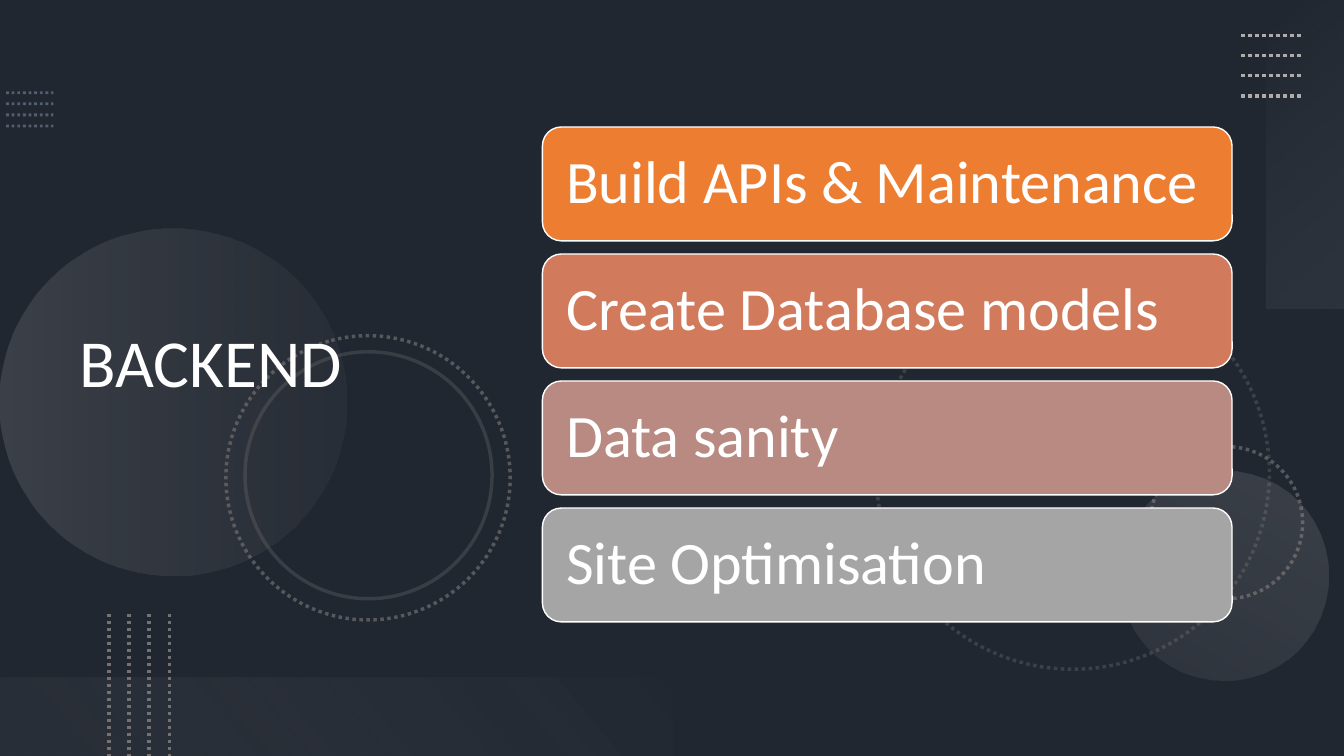
from dataclasses import dataclass
from typing import Optional

import pptx
import pptx.util
import pptx.dml.color
import pptx.enum.dml
import pptx.enum.shapes
import pptx.enum.text
import pptx.oxml
import pptx.oxml.ns

Inches = pptx.util.Inches
Pt = pptx.util.Pt
Shapes = pptx.enum.shapes.MSO_SHAPE
Dash = pptx.enum.dml.MSO_LINE
qn = pptx.oxml.ns.qn


@dataclass(frozen=True)
class Theme:
    font: str = "Calibri"
    title_size: float = 48
    card_size: float = 43
    background: str = "44546A"
    shade: str = "000000"
    white: str = "FFFFFF"
    slate: str = "8497B0"
    silver: str = "AFABAB"
    grey: str = "767171"
    mist: str = "F5F5F5"
    pale: str = "F1F0F0"


THEME = Theme()


@dataclass(frozen=True)
class Stroke:
    color: str
    width: float = 2.5
    dotted: bool = True
    alpha: int = 100


@dataclass(frozen=True)
class Stop:
    position: float
    color: str
    alpha: int


@dataclass(frozen=True)
class Decor:
    left: float
    top: float
    width: float
    height: float
    rotation: float = 0
    kind: int = Shapes.OVAL
    stroke: Optional[Stroke] = None
    stops: tuple[Stop, ...] = ()
    angle: float = 90


@dataclass(frozen=True)
class DotRows:
    """Parallel dotted lines, each offset from the one before by a step."""
    left: float
    top: float
    length: float
    step: float
    stroke: Stroke
    vertical: bool = False
    count: int = 4


@dataclass(frozen=True)
class Card:
    text: str
    color: str


def rgb(value: str):
    return pptx.dml.color.RGBColor.from_string(value)


def set_alpha(element, percent: int) -> None:
    if percent < 100:
        color = next(element.iter(qn("a:srgbClr")))
        pptx.oxml.ns  # namespace map used by qn
        color.makeelement(qn("a:alpha"))
        alpha = color.makeelement(qn("a:alpha"), {"val": str(percent * 1000)})
        color.append(alpha)


def set_stroke(line, stroke: Stroke) -> None:
    line.color.rgb = rgb(stroke.color)
    line.width = Pt(stroke.width)
    if stroke.dotted:
        line.dash_style = Dash.ROUND_DOT
    set_alpha(line.fill._xPr, stroke.alpha)


def add_shape(s, kind: int, left: float, top: float, width: float, height: float,
              color: Optional[str] = None, stroke: Optional[Stroke] = None):
    sp = s.shapes.add_shape(kind, Inches(left), Inches(top), Inches(width), Inches(height))
    sp.shadow.inherit = False
    if color:
        sp.fill.solid()
        sp.fill.fore_color.rgb = rgb(color)
    else:
        sp.fill.background()
    if stroke:
        set_stroke(sp.line, stroke)
    else:
        sp.line.fill.background()
    return sp


def add_decor(s, d: Decor) -> None:
    sp = add_shape(s, d.kind, d.left, d.top, d.width, d.height, stroke=d.stroke)
    sp.rotation = d.rotation
    if d.stops:
        sp.fill.gradient()
        sp.fill.gradient_angle = 360 - d.angle
        for target, stop in zip(sp.fill.gradient_stops, d.stops):
            target.position = stop.position
            target.color.rgb = rgb(stop.color)
        gradient = sp._element.spPr.find(qn("a:gradFill"))
        for element, stop in zip(gradient.iter(qn("a:gs")), d.stops):
            color = element.find(qn("a:srgbClr"))
            color.append(color.makeelement(qn("a:alpha"), {"val": str(stop.alpha * 1000)}))


def add_dot_rows(s, rows: DotRows) -> None:
    for i in range(rows.count):
        x = rows.left + (i * rows.step if rows.vertical else 0)
        y = rows.top + (0 if rows.vertical else i * rows.step)
        end_x, end_y = (x, y + rows.length) if rows.vertical else (x + rows.length, y)
        line = s.shapes.add_connector(pptx.enum.shapes.MSO_CONNECTOR.STRAIGHT,
                                      Inches(x), Inches(y), Inches(end_x), Inches(end_y))
        set_stroke(line.line, rows.stroke)
        properties = line._element.spPr
        properties.append(properties.makeelement(qn("a:effectLst")))


def write_text(sp, text: str, *, size: float, color: str = THEME.white,
               inset: Optional[float] = None) -> None:
    tf = sp.text_frame
    tf.word_wrap = True
    tf.vertical_anchor = pptx.enum.text.MSO_ANCHOR.MIDDLE
    if inset is not None:
        tf.margin_left = tf.margin_right = tf.margin_top = tf.margin_bottom = Inches(inset)
    p = tf.paragraphs[0]
    p.alignment = pptx.enum.text.PP_ALIGN.LEFT
    p.line_spacing = 0.9
    r = p.add_run()
    r.text = text
    r.font.name = THEME.font
    r.font.size = Pt(size)
    r.font.color.rgb = rgb(color)


CIRCLES = (
    Decor(8.69, 2.74, 3.9, 3.9, 75, stroke=Stroke(THEME.grey, alpha=35)),
    Decor(11.41, 4.43, 1.51, 1.51, 270, stroke=Stroke(THEME.grey, alpha=65)),
    Decor(0, 2.27, 3.44, 3.44, 270,
          stops=(Stop(0, THEME.silver, 20), Stop(1, THEME.grey, 10))),
    Decor(11.1, 4.67, 2.08, 2.08, 210,
          stops=(Stop(0, THEME.silver, 10), Stop(1, THEME.silver, 20))),
    Decor(2.24, 3.33, 2.82, 2.82, 75, stroke=Stroke(THEME.grey, alpha=65)),
    Decor(2.43, 3.49, 2.45, 2.45, 75, stroke=Stroke(THEME.grey, dotted=False, alpha=30)),
)
RIGHT_BAND = Decor(11.42, 1.14, 3.06, 0.78, 270, Shapes.RECTANGLE, angle=140,
                   stops=(Stop(0, THEME.mist, 0), Stop(1, THEME.silver, 10)))
BOTTOM_BAND = Decor(0, 6.72, 6.67, 0.78, 180, Shapes.RECTANGLE, angle=140,
                    stops=(Stop(0.1, THEME.grey, 10), Stop(1, THEME.pale, 0)))
LEFT_DOTS = DotRows(0.06, 0.92, 0.47, 0.11, Stroke(THEME.slate, 2, alpha=50))
RIGHT_DOTS = DotRows(12.31, 0.35, 0.6, 0.2, Stroke(THEME.silver))
BOTTOM_DOTS = DotRows(1.08, 6.09, 1.41, 0.2, Stroke(THEME.grey), vertical=True)
CARDS = (
    Card("Build APIs & Maintenance", "ED7D31"),
    Card("Create Database models", "D17B5C"),
    Card("Data sanity", "B98A82"),
    Card("Site Optimisation", "A5A5A5"),
)
CARD_TOP = CARD_PITCH = 1.26


def main() -> None:
    prs = pptx.Presentation()
    prs.slide_width, prs.slide_height = Inches(13.33), Inches(7.5)
    s = prs.slides.add_slide(prs.slide_layouts[6])

    # Background and its dark shade
    s.background.fill.solid()
    s.background.fill.fore_color.rgb = rgb(THEME.background)
    shade = add_shape(s, Shapes.RECTANGLE, 0, 0, 13.33, 7.5, THEME.shade)
    set_alpha(shade._element.spPr, 53)

    # Decoration, from back to front
    add_dot_rows(s, LEFT_DOTS)
    for circle in CIRCLES:
        add_decor(s, circle)
    add_decor(s, RIGHT_BAND)
    add_dot_rows(s, RIGHT_DOTS)
    add_decor(s, BOTTOM_BAND)
    add_dot_rows(s, BOTTOM_DOTS)

    # Title
    title = s.shapes.add_textbox(Inches(0.69), Inches(0.54), Inches(4.59), Inches(6.17))
    write_text(title, "BACKEND", size=THEME.title_size)

    # Task cards
    for i, card in enumerate(CARDS):
        sp = add_shape(s, Shapes.ROUNDED_RECTANGLE, 5.38, CARD_TOP + i * CARD_PITCH, 6.84, 1.13,
                       card.color, Stroke(THEME.white, 1, dotted=False))
        write_text(sp, card.text, size=THEME.card_size, inset=0.18)

    prs.save("out.pptx")


if __name__ == "__main__":
    main()
